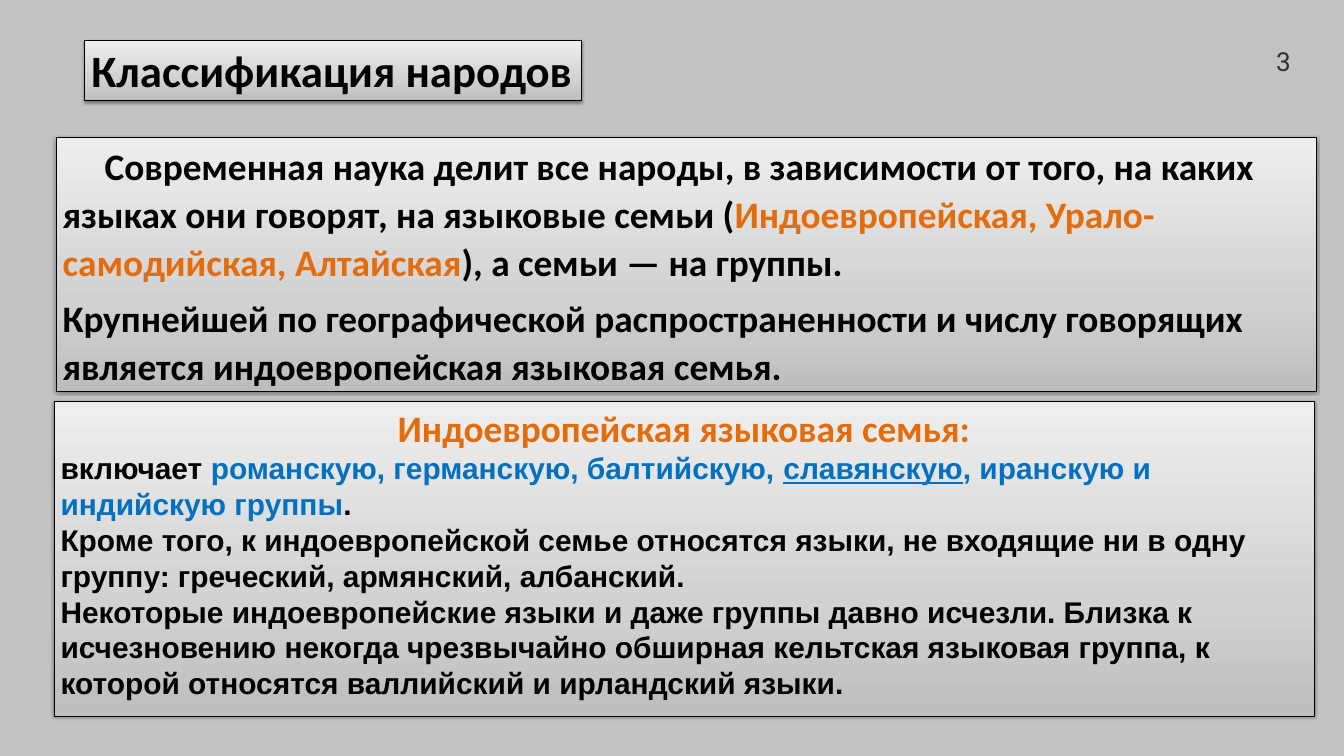
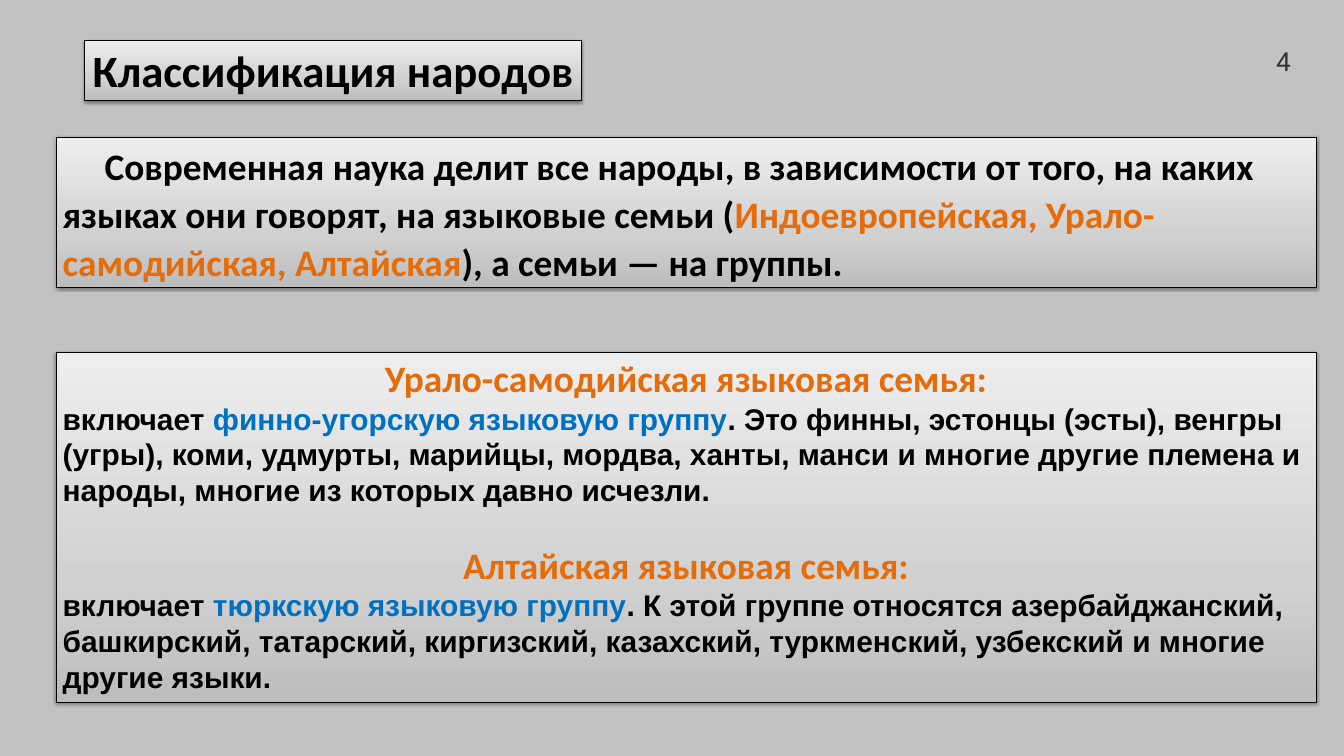
"""Build two slides on how peoples are classified by language family."""
from pptx import Presentation
from pptx.dml.color import RGBColor
from pptx.enum.shapes import MSO_SHAPE as Preset
from pptx.enum.text import MSO_ANCHOR as Anchor, MSO_AUTO_SIZE as AutoSize, PP_ALIGN as Align
from pptx.oxml import parse_xml
from pptx.oxml.ns import nsdecls
from pptx.util import Pt

PX = 9525
COLOURS = {
    "background": "C2C2C2", "text": "000000", "family": "E46C0A", "group": "0070C0",
    "number": "323232", "dark": "BDBDBD", "middle": "D1D1D1", "light": "EEEEEE",
}
PANEL_STOPS = {0: "dark", 35: "middle", 100: "light"}

FONTS = {
    "title": {"name": "Calibri", "size": Pt(48), "bold": True},
    "intro": {"name": "Calibri", "size": Pt(40), "bold": True},
    "heading": {"name": "Calibri", "size": Pt(40), "bold": True},
    "detail": {"name": "Arial", "size": Pt(32), "bold": True},
    "number": {"name": "Roboto", "size": Pt(28), "bold": False},
}
LAYOUTS = {
    "title": {},
    "intro": {"line_spacing": 1.07, "space_after": Pt(8)},
    "heading": {"alignment": Align.CENTER},
    "detail": {},
    "number": {"alignment": Align.RIGHT, "line_spacing": Pt(39.2)},
}


def write(frame, paragraphs):
    """Fill a frame with (style, runs, overrides) paragraphs."""
    frame.word_wrap = True
    frame.vertical_anchor = Anchor.TOP
    frame.auto_size = AutoSize.SHAPE_TO_FIT_TEXT
    for index, (style, runs, overrides) in enumerate(paragraphs):
        paragraph = frame.add_paragraph() if index else frame.paragraphs[0]
        layout = {"alignment": Align.LEFT, **LAYOUTS[style], **overrides}
        indent = layout.pop("indent", 0)
        if indent:
            paragraph._p.get_or_add_pPr().set("indent", str(indent * PX))
        for key, value in layout.items():
            setattr(paragraph, key, value)
        for text, colour, *underline in runs:
            run = paragraph.add_run()
            run.text = text
            for key, value in FONTS[style].items():
                setattr(run.font, key, value)
            run.font.color.rgb = RGBColor.from_string(COLOURS[colour])
            if underline:
                run.font.underline = True


def add_panel(slide, box, paragraphs):
    """Add a shaded, outlined panel with text."""
    panel = slide.shapes.add_shape(Preset.RECTANGLE, *(length * PX for length in box))
    panel.fill.gradient()
    panel.fill.gradient_angle = 90
    stops = panel._element.spPr.find(".//{*}gsLst")
    stops.clear()
    for position, colour in PANEL_STOPS.items():
        stops.append(parse_xml(
            f'<a:gs {nsdecls("a")} pos="{position * 1000}">'
            f'<a:srgbClr val="{COLOURS[colour]}"/></a:gs>'))
    panel.line.color.rgb = RGBColor.from_string(COLOURS["text"])
    panel.line.width = Pt(0.75)
    panel.shadow.inherit = False
    panel._element.spPr.find("{*}effectLst").append(parse_xml(
        f'<a:outerShdw {nsdecls("a")} blurRad="40000" dist="20000" dir="5400000" rotWithShape="0">'
        f'<a:srgbClr val="{COLOURS["text"]}"><a:alpha val="38000"/></a:srgbClr></a:outerShdw>'))
    write(panel.text_frame, paragraphs)


science = ("intro", [
    ("Современная наука делит все народы, в зависимости от того, на каких языках "
     "они говорят, на языковые семьи (", "text"),
    ("Индоевропейская, Урало-самодийская, Алтайская", "family"),
    ("), а семьи — на группы.", "text"),
], {"indent": 60})
largest = ("intro", [
    ("Крупнейшей по географической распространенности и числу говорящих "
     "является индоевропейская языковая семья.", "text"),
], {})

indo_european = [
    ("heading", [("Индоевропейская языковая семья:", "family")], {}),
    ("detail", [
        ("включает ", "text"),
        ("романскую, германскую, балтийскую, ", "group"),
        ("славянскую", "group", True),
        (", иранскую и индийскую группы", "group"),
        (".", "text"),
    ], {}),
    ("detail", [
        ("Кроме того, к индоевропейской семье относятся языки, не входящие ни в одну "
         "группу: греческий, армянский, албанский.", "text"),
    ], {}),
    ("detail", [
        ("Некоторые индоевропейские языки и даже группы давно исчезли. Близка к "
         "исчезновению некогда чрезвычайно обширная кельтская языковая группа, к "
         "которой относятся валлийский и ирландский языки.", "text"),
    ], {}),
]
uralic_and_altaic = [
    ("heading", [("Урало-самодийская языковая семья:", "family")], {}),
    ("detail", [
        ("включает ", "text"),
        ("финно-угорскую языковую группу", "group"),
        (". Это финны, эстонцы (эсты), венгры (угры), коми, удмурты, марийцы, мордва, "
         "ханты, манси и многие другие племена и народы, многие из которых давно "
         "исчезли.", "text"),
    ], {}),
    ("heading", [("Алтайская языковая семья:", "family")], {"space_before": Pt(37)}),
    ("detail", [
        ("включает ", "text"),
        ("тюркскую языковую группу", "group"),
        (". К этой группе относятся азербайджанский, башкирский, татарский, киргизский, "
         "казахский, туркменский, узбекский и многие другие языки.", "text"),
    ], {}),
]

pages = [
    ("3", Align.LEFT, [science, largest], 363, (77, 574, 1800, 449), indo_european),
    ("4", Align.CENTER, [science], 214, (80, 503, 1800, 501), uralic_and_altaic),
]

deck = Presentation()
deck.slide_width, deck.slide_height = 1920 * PX, 1080 * PX

for number, title_alignment, intro, intro_height, family_box, families in pages:
    slide = deck.slides.add_slide(deck.slide_layouts[6])
    slide.background.fill.solid()
    slide.background.fill.fore_color.rgb = RGBColor.from_string(COLOURS["background"])

    page_number = slide.shapes.add_textbox(*(length * PX for length in (1735, 57, 109, 49)))
    for side in ("left", "top", "right", "bottom"):
        setattr(page_number.text_frame, f"margin_{side}", 0)
    write(page_number.text_frame, [("number", [(number, "number")], {})])

    add_panel(slide, (80, 196, 1800, intro_height), intro)
    add_panel(slide, (121, 57, 710, 87), [
        ("title", [("Классификация народов", "text")], {"alignment": title_alignment}),
    ])
    add_panel(slide, family_box, families)

deck.save("out.pptx")
